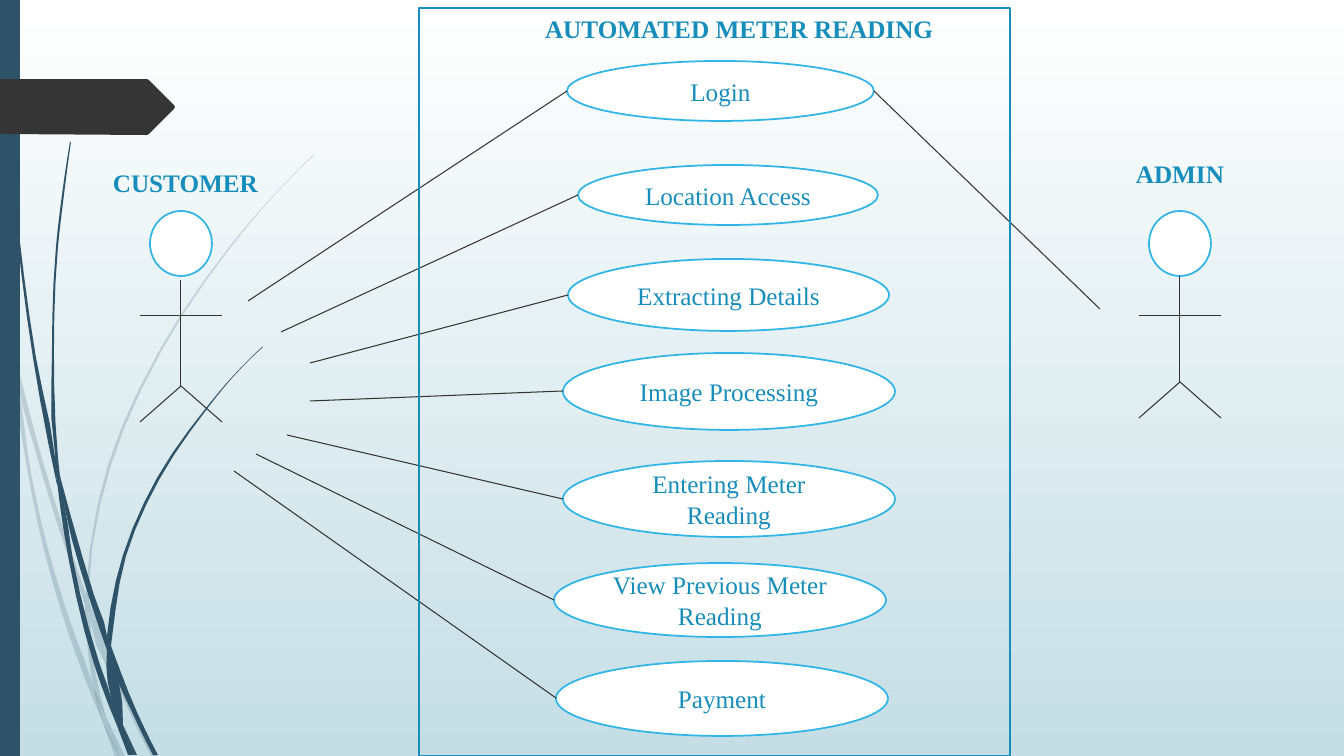
from lxml.etree import SubElement
from pptx import Presentation
from pptx.dml.color import RGBColor
from pptx.enum.shapes import MSO_CONNECTOR, MSO_SHAPE
from pptx.enum.text import MSO_ANCHOR, MSO_AUTO_SIZE, PP_ALIGN
from pptx.oxml.ns import qn
from pptx.util import Emu, Pt

EMU_PER_PX = 914400 / 100.8
WIDTH, HEIGHT = 1344, 756
WHITE = RGBColor(0xFF, 0xFF, 0xFF)
PALE_BLUE = RGBColor(0xC5, 0xDE, 0xE5)
NAVY = RGBColor(0x2E, 0x53, 0x69)
CHARCOAL = RGBColor(0x35, 0x35, 0x35)
LINE_GREY = RGBColor(0x33, 0x33, 0x33)
SKY = RGBColor(0x31, 0xB4, 0xE6)
BLUE = RGBColor(0x17, 0x8D, 0xBB)

USE_CASES = [
    ("Login", (567, 61, 307, 60), (248, 301)),
    ("Location Access", (578, 165, 300, 60), (281, 332)),
    ("Extracting Details", (568, 259, 321, 72), (310, 363)),
    ("Image Processing", (563, 353, 332, 77), (310, 401)),
    ("Entering Meter Reading", (563, 461, 332, 76), (287, 435)),
    ("View Previous Meter Reading", (554, 563, 332, 74), (256, 454)),
    ("Payment", (556, 661, 332, 75), (234, 471)),
]

PALE_WISPS = [
    ([(0, 301), (10, 347), (11, 353)], [(0, 284), (9, 325), (11, 353)]),
    ([(14, 348), (17, 379), (36, 453), (58, 526), (85, 604)], [(14, 348), (36, 437), (62, 524), (85, 591)]),
    ([(89, 601), (89, 615), (124, 700), (151, 756)], [(89, 601), (93, 612), (128, 698), (156, 756)]),
    ([(106, 717), (120, 756)], [(106, 717), (125, 756)]),
    ([(11, 353), (28, 474), (44, 550), (66, 626), (93, 699), (102, 720)],
     [(11, 353), (17, 379), (31, 473), (48, 549), (71, 624), (94, 688), (102, 720)]),
    ([(85, 604), (88, 651), (94, 688), (106, 717)], [(85, 604), (89, 615), (92, 651), (106, 717)]),
    ([(314, 154), (270, 199), (230, 246), (159, 351), (108, 465), (86, 591)],
     [(314, 155), (270, 200), (231, 247), (161, 352), (111, 465), (89, 589), (89, 601)]),
    ([(102, 720), (115, 756)], [(102, 720), (120, 756)]),
    ([(86, 591), (85, 604), (89, 613)], [(86, 591), (89, 601), (89, 613)]),
    ([(94, 688), (102, 720), (120, 756)], [(94, 688), (106, 717), (120, 756)]),
]
DARK_WISPS = [
    ([(3, 0), (4, 48), (7, 111), (17, 235), (33, 358), (57, 485)],
     [(4, 0), (5, 48), (8, 110), (19, 234), (36, 358), (55, 457), (57, 485)]),
    ([(60, 476), (65, 509), (89, 597), (107, 650)], [(60, 476), (94, 595), (107, 636), (107, 650)]),
    ([(111, 646), (112, 661), (133, 714), (153, 755)], [(111, 646), (114, 654), (137, 712), (158, 755)]),
    ([(57, 481), (69, 561), (94, 664), (118, 728)],
     [(57, 481), (65, 509), (73, 560), (99, 662), (111, 697), (118, 728)]),
    ([(70, 142), (62, 195), (56, 247), (52, 352), (55, 453), (60, 476)],
     [(71, 142), (64, 195), (58, 247), (54, 352), (58, 457), (60, 476)]),
    ([(123, 725), (134, 755)], [(123, 725), (137, 755)]),
    ([(55, 453), (57, 481), (65, 509)], [(55, 453), (60, 476), (65, 509)]),
    ([(262, 347), (233, 376), (206, 408), (157, 478), (123, 555), (107, 636)],
     [(263, 347), (233, 377), (207, 409), (159, 480), (126, 556), (112, 638), (111, 646)]),
    ([(118, 728), (128, 755)], [(118, 728), (132, 755)]),
    ([(107, 650), (111, 697), (123, 725)], [(107, 650), (112, 661), (123, 725)]),
    ([(107, 636), (107, 650), (112, 661)], [(107, 636), (111, 646), (112, 661)]),
    ([(111, 697), (118, 728), (131, 755)], [(111, 697), (123, 725), (134, 755)]),
]
TAG = [(0, 79), (147, 79), (149, 80), (174, 105), (175, 107), (174, 109), (149, 134), (147, 135), (0, 134)]


def px(length):
    return Emu(round(length * EMU_PER_PX))


def smooth(points, steps=3):
    if len(points) == 2:
        return points
    knots = [complex(*point) for point in points]
    gaps = [abs(b - a) for a, b in zip(knots, knots[1:])]
    slopes = [(b - a) / gap for a, b, gap in zip(knots, knots[1:], gaps)]
    inner = [(slopes[i] * gaps[i + 1] + slopes[i + 1] * gaps[i]) / (gaps[i] + gaps[i + 1])
             for i in range(len(gaps) - 1)]
    tangents = [2 * slopes[0] - inner[0], *inner, 2 * slopes[-1] - inner[-1]]
    curve = []
    for i, gap in enumerate(gaps):
        for t in (step / steps for step in range(steps)):
            ease = t * t * (3 - 2 * t)
            bend = tangents[i] * t * (1 - t) ** 2 - tangents[i + 1] * t * t * (1 - t)
            spot = knots[i] * (1 - ease) + knots[i + 1] * ease + bend * gap
            curve.append((spot.real, spot.imag))
    return curve + [points[-1]]


def write(shape, text, bold=False, align=PP_ALIGN.LEFT, anchor=MSO_ANCHOR.TOP, wrap=False):
    frame = shape.text_frame
    frame.text = text
    frame.auto_size = MSO_AUTO_SIZE.NONE
    frame.word_wrap = wrap
    frame.vertical_anchor = anchor
    paragraph = frame.paragraphs[0]
    paragraph.alignment = align
    font = paragraph.runs[0].font
    font.name, font.size, font.bold = "Times New Roman", Pt(18), bold
    font.color.rgb = BLUE


class UseCaseSlide:
    """Draws the elements of a use case diagram on one slide."""

    def __init__(self, presentation):
        self.slide = presentation.slides.add_slide(presentation.slide_layouts[5])
        self.shapes = self.slide.shapes

    def background(self, *colors):
        fill = self.slide.background.fill
        fill.gradient()
        fill.gradient_angle = 270
        for stop, color in zip(fill.gradient_stops, colors):
            stop.color.rgb = color

    def title(self, text, *box):
        title = self.shapes.title
        title.left, title.top, title.width, title.height = map(px, box)
        write(title, text, bold=True)

    def label(self, text, *box):
        write(self.shapes.add_textbox(*map(px, box)), text, bold=True)

    def preset(self, kind, box, fill=None, line=None):
        shape = self.shapes.add_shape(kind, *map(px, box))
        self.paint(shape, fill, line)
        return shape

    def paint(self, shape, fill, line=None):
        shape.shadow.inherit = False
        if fill is None:
            shape.fill.background()
        else:
            shape.fill.solid()
            shape.fill.fore_color.rgb = fill
        if line is None:
            shape.line.fill.background()
        else:
            shape.line.color.rgb = line
            shape.line.width = Pt(1.25)

    def outline(self, points, fill, opacity=100):
        corners = [(px(x), px(y)) for x, y in points]
        builder = self.shapes.build_freeform(*corners[0], scale=1.0)
        builder.add_line_segments(corners[1:], close=True)
        shape = builder.convert_to_shape()
        self.paint(shape, fill)
        if opacity < 100:
            color = shape._element.spPr.find(qn("a:solidFill")).find(qn("a:srgbClr"))
            SubElement(color, qn("a:alpha")).set("val", str(opacity * 1000))

    def wisps(self, wisps, opacity=100):
        for left_edge, right_edge in wisps:
            self.outline(smooth(left_edge) + smooth(right_edge)[::-1], NAVY, opacity)

    def line(self, start, end):
        connector = self.shapes.add_connector(MSO_CONNECTOR.STRAIGHT, *map(px, (*start, *end)))
        connector.line.color.rgb = LINE_GREY
        connector.line.width = Pt(0.75)
        SubElement(connector._element.spPr, qn("a:effectLst"))

    def actor(self, center, neck):
        hip, reach = neck + 106, 41
        self.preset(MSO_SHAPE.OVAL, (center - 31, 211, 62, 65), WHITE, SKY)
        self.line((center, neck), (center, hip))
        self.line((center - reach, 316), (center + reach, 316))
        for foot in (center - reach, center + reach):
            self.line((center, hip), (foot, hip + 36))

    def use_case(self, text, box):
        ellipse = self.preset(MSO_SHAPE.OVAL, box, WHITE, SKY)
        write(ellipse, text, align=PP_ALIGN.CENTER, anchor=MSO_ANCHOR.MIDDLE, wrap=True)


def main():
    presentation = Presentation()
    presentation.slide_width, presentation.slide_height = px(WIDTH), px(HEIGHT)
    diagram = UseCaseSlide(presentation)
    diagram.background(WHITE, PALE_BLUE)
    diagram.wisps(PALE_WISPS, opacity=20)
    diagram.wisps(DARK_WISPS)
    diagram.preset(MSO_SHAPE.RECTANGLE, (0, 0, 20, HEIGHT), NAVY)
    diagram.outline(TAG, CHARCOAL)
    diagram.actor(181, 280)
    diagram.actor(1180, 276)
    for text, box, customer_end in USE_CASES:
        left, top, width, height = box
        diagram.use_case(text, box)
        diagram.line(customer_end, (left, top + height // 2))
    left, top, width, height = USE_CASES[0][1]
    diagram.line((left + width, top + height // 2), (1100, 309))
    diagram.title("AUTOMATED METER READING", 535, 8, 412, 40)
    diagram.label("CUSTOMER", 103, 162, 167, 40)
    diagram.label("ADMIN", 1126, 153, 110, 40)
    diagram.preset(MSO_SHAPE.RECTANGLE, (419, 8, 591, 748), line=BLUE)
    presentation.save("out.pptx")


if __name__ == "__main__":
    main()
